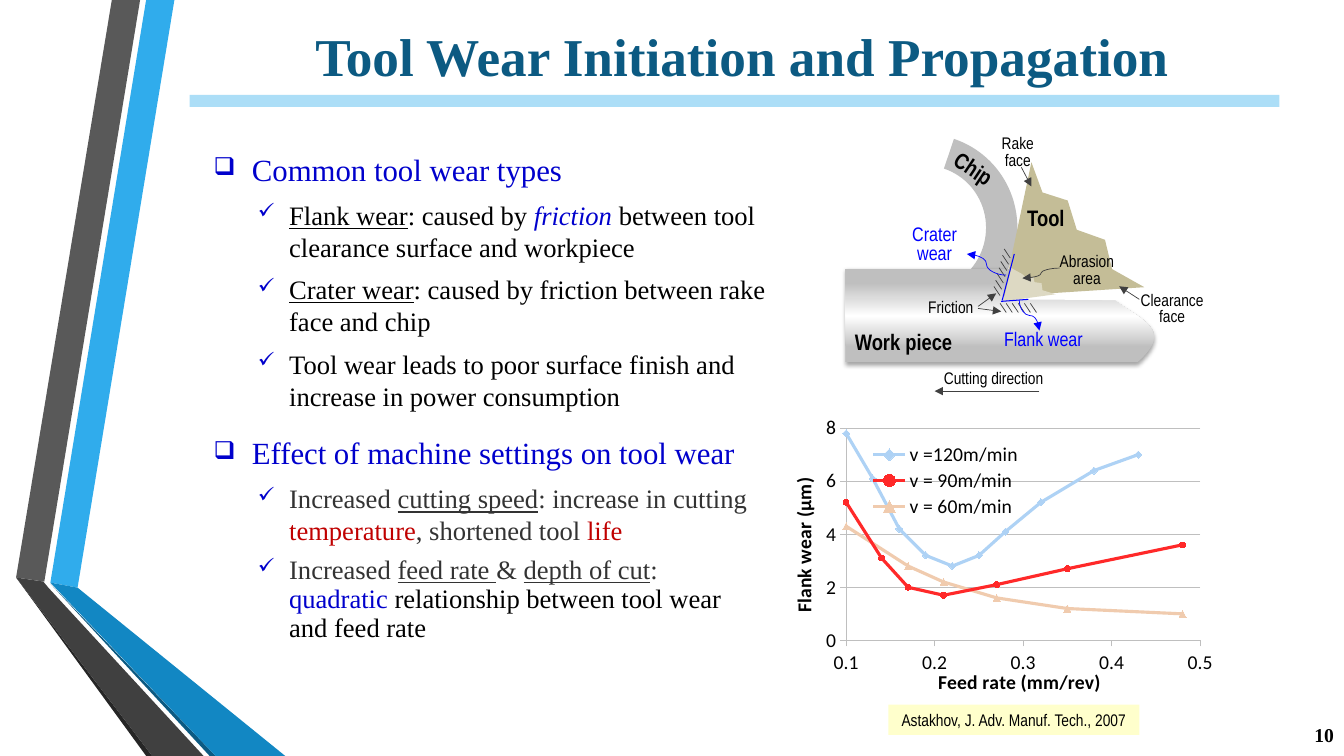
"""Build a slide on how tool wear starts and spreads."""
import copy

import pptx
import pptx.chart.data
import pptx.dml.color
import pptx.enum.chart
import pptx.enum.shapes
import pptx.enum.text
import pptx.oxml
import pptx.oxml.ns
import pptx.util


class Theme:
    ink, grey, dark, silver, white = "000000", "404040", "333333", "BFBFBF", "FFFFFF"
    navy, blue, royal, red = "0C5A82", "0000FF", "0000CC", "C00000"
    sky, pale, cream = "30ACEC", "ACDEF7", "FFFFCC"
    serif, narrow, sans = "Times New Roman", "Arial Narrow", "Calibri"
    title, head, body, name, mid, small = 38, 22, 19, 16, 14, 12


COLS, ROWS = 1333, 750
SHAPE = pptx.enum.shapes.MSO_SHAPE
LINK = pptx.enum.shapes.MSO_CONNECTOR
ALIGN = pptx.enum.text.PP_ALIGN
ANCHOR = pptx.enum.text.MSO_ANCHOR
MARK = pptx.enum.chart.XL_MARKER_STYLE

RIBBONS = [
    (Theme.sky, [(50, 578), (77, 583), (173, 0), (145, 0)]),
    ("595959", [(139, 0), (111, 0), (16, 573), (44, 577)]),
    ("262626", [(16, 573), (145, 750), (151, 750)]),
    (Theme.navy, [(50, 579), (208, 750), (214, 750)]),
    ("1287C3", [(50, 578), (214, 750), (283, 750), (77, 583)]),
    (Theme.grey, [(202, 750), (48, 583), (43, 577), (16, 573), (151, 750)]),
]
PARTS = [
    (Theme.white, [(1134, 266), (1011, 266), (996, 297), (1149, 298)]),
    ("C4BD97", [(995, 294), (1135, 285), (1103, 267), (1096, 238), (1068, 228),
                (1059, 199), (1034, 191), (1023, 161)]),
    ("DDD9C3", [(1003, 266), (995, 299), (1047, 292), (1034, 288), (1033, 281),
                (1026, 280), (1025, 275), (1018, 276), (1014, 272)]),
]
ARROWS = [
    (1031, 388, 927, 388), (1130, 297, 1110, 284), (1013, 166, 1023, 185),
    (970, 304, 988, 291), (970, 306, 993, 309),
]
EDGES = [(1006, 252, 994, 298), (1020, 297, 993, 299)]
CURVES = [
    ((1036, 303, 1006, 323), Theme.blue, 270),
    ((998, 273, 959, 252), Theme.blue, 0),
    ((1051, 266, 1014, 276), Theme.grey, 0),
]
HATCH = [(992 + 6 * i, 301, 998 + 6 * i, 310) for i in range(6)]
HATCH += [(1002 - 1.7 * i, 256 + 6.2 * i, 996 - 1.7 * i, 247 + 6.2 * i) for i in range(7)]
NAMES = [
    ("Tool", (1009, 198, 83, 46), 0),
    ("Work piece", (838, 321, 145, 46), 0),
    ("Chip", (934, 151, 69, 40), 33.8),
]
LABELS = [
    ("Abrasion area", (1047, 253, 62, 32), Theme.small, Theme.ink),
    ("Clearance face", (1122, 291, 81, 36), Theme.small, Theme.ink),
    ("Rake face", (988, 136, 43, 31), Theme.small, Theme.ink),
    ("Friction", (914, 298, 58, 22), Theme.small, Theme.ink),
    ("Cutting direction", (934, 369, 103, 23), Theme.small, Theme.ink),
    ("Flank wear", (993, 329, 84, 23), Theme.mid, Theme.blue),
    ("Crater wear", (889, 225, 76, 23), Theme.mid, Theme.blue),
]
NOTES = [
    ((202, 145, 576, 271), "Common tool wear types", 1, [
        (1, [("Flank wear", "u"), ": caused by ", ("friction ", "i", Theme.royal),
             "between tool clearance surface and workpiece"]),
        (1, [("Crater wear", "u"), ": caused by friction between rake face and chip"]),
        (1, ["Tool wear leads to poor surface finish and increase in power consumption"]),
    ]),
    ((202, 430, 564, 215), "Effect of machine settings on tool wear", 0.9, [
        (1, [("Increased ", Theme.dark), ("cutting speed", "u", Theme.dark),
             (": increase in cutting ", Theme.dark), ("temperature", Theme.red),
             (", shortened tool ", Theme.dark), ("life", Theme.red)]),
        (0.9, [("Increased ", Theme.dark), ("feed rate ", "u", Theme.dark), ("& ", Theme.dark),
               ("depth of cut", "u", Theme.dark), (": ", Theme.dark),
               ("quadratic ", Theme.royal), "relationship between tool wear and feed rate"]),
    ]),
]
SERIES = [
    ("v =120m/min", "AED2F5", MARK.DIAMOND, 5,
     [(0.1, 7.8), (0.13, 6.1), (0.16, 4.2), (0.19, 3.2), (0.22, 2.8), (0.25, 3.2),
      (0.28, 4.1), (0.32, 5.2), (0.38, 6.4), (0.43, 7)]),
    ("v = 90m/min", "FF2929", MARK.CIRCLE, 4,
     [(0.1, 5.2), (0.14, 3.1), (0.17, 2), (0.21, 1.7), (0.27, 2.1), (0.35, 2.7), (0.48, 3.6)]),
    ("v = 60m/min", "F0CBAE", MARK.TRIANGLE, 5,
     [(0.1, 4.3), (0.17, 2.8), (0.21, 2.2), (0.27, 1.6), (0.35, 1.2), (0.48, 1)]),
]

deck = pptx.Presentation()
deck.slide_width = pptx.util.Inches(13.33)
deck.slide_height = pptx.util.Inches(7.5)
CELL = deck.slide_width // COLS
shapes = deck.slides.add_slide(deck.slide_layouts[6]).shapes


def grid(box):
    return [round(n * CELL) for n in box]


def rgb(code):
    return pptx.dml.color.RGBColor.from_string(code)


def node(base, tag, **attrs):
    item = pptx.oxml.ns.qn(tag)
    part = base.makeelement(item, {key: str(val) for key, val in attrs.items()})
    base.append(part)
    return part


def paint(shape, fill):
    shape.shadow.inherit = False
    shape.line.fill.background()
    if fill:
        shape.fill.solid()
        shape.fill.fore_color.rgb = rgb(fill)
    return shape


def block(kind, box, fill=None, turn=0):
    shape = paint(shapes.add_shape(kind, *grid(box)), fill)
    shape.rotation = turn
    return shape


def outline(fill, points):
    pen = shapes.build_freeform(*points[0], scale=CELL)
    pen.add_line_segments(points[1:], close=True)
    paint(pen.convert_to_shape(), fill)


def link(ends, color=Theme.grey, width=0.5, kind=LINK.STRAIGHT, tip=False, turn=0):
    line = shapes.add_connector(kind, *grid(ends))
    node(line._element.spPr, "a:effectLst")
    line.line.color.rgb = rgb(color)
    line.line.width = pptx.util.Pt(width)
    if tip:
        node(line.line._get_or_add_ln(), "a:tailEnd", type="triangle")
    if turn:
        line._element.spPr.xfrm.set("rot", str(turn * 60000))


def frame(box, fill=None, pad=None, anchor=ANCHOR.TOP, turn=0):
    shape = block(SHAPE.RECTANGLE, box, fill) if fill else shapes.add_textbox(*grid(box))
    shape.rotation = turn
    area = shape.text_frame
    area.word_wrap, area.vertical_anchor = True, anchor
    if pad is not None:
        area.margin_left = area.margin_right = area.margin_top = area.margin_bottom = pad
    return area


def write(area, text, size=Theme.small, color=Theme.ink, face=Theme.narrow, bold=False,
          align=ALIGN.LEFT, gap=1, bullet=None, left=0, hang=0):
    first = not area.text
    para = area.paragraphs[0] if first else area.add_paragraph()
    para.alignment, para.line_spacing = align, gap
    if bullet:
        para.space_before = pptx.util.Pt(0 if first else 4.6)
        para.space_after = pptx.util.Pt(3)
        props = para._p.get_or_add_pPr()
        props.set("marL", str(left * CELL))
        props.set("indent", str(-hang * CELL))
        node(node(props, "a:buClr"), "a:srgbClr", val=Theme.royal)
        node(props, "a:buSzPct", val=80000)
        node(props, "a:buChar", char=bullet)
    for piece in [text] if isinstance(text, str) else text:
        words, *marks = (piece,) if isinstance(piece, str) else piece
        run = para.add_run()
        run.text, font = words, run.font
        font.size, font.name, font.bold = pptx.util.Pt(size), face, bold
        font.underline, font.italic = "u" in marks, "i" in marks
        font.color.rgb = rgb(next((m for m in marks if len(m) == 6), color))


def draw_work():
    arc = block(SHAPE.BLOCK_ARC, (824, 133, 185, 187), Theme.silver, 18.4)
    for i, val in enumerate((162.044, 17.697, 0.168)):
        arc.adjustments[i] = val
    work = block(SHAPE.FLOWCHART_DOCUMENT, (947, 158, 93, 310), turn=270)
    work.fill.gradient()
    work.fill.gradient_angle = 0
    stops = work._element.spPr.find(".//" + pptx.oxml.ns.qn("a:gsLst"))
    stops.append(copy.deepcopy(stops[0]))
    tones = ((0.16, Theme.silver), (0.49, Theme.white), (0.85, Theme.silver))
    for stop, (place, tone) in zip(work.fill.gradient_stops, tones):
        stop.position, stop.color.rgb = place, rgb(tone)
    shade = node(work._element.spPr.find(pptx.oxml.ns.qn("a:effectLst")), "a:outerShdw",
                 blurRad=pptx.util.Pt(3.1), dist=pptx.util.Pt(1.8), dir=5400000, rotWithShape=0)
    node(node(shade, "a:srgbClr", val=Theme.ink), "a:alpha", val=35000)


def place(base, index, inner, **sizes):
    for old in base.findall(pptx.oxml.ns.qn("c:layout")):
        base.remove(old)
    layout = node(base, "c:layout")
    base.insert(index, layout)
    plan = node(layout, "c:manualLayout")
    if inner:
        node(plan, "c:layoutTarget", val="inner")
    for key in ("xMode", "yMode"):
        node(plan, "c:" + key, val="edge")
    for key, val in sizes.items():
        node(plan, "c:" + key, val=val)


def draw_chart(box):
    data = pptx.chart.data.XyChartData()
    for name, *_, points in SERIES:
        row = data.add_series(name)
        for x, y in points:
            row.add_data_point(x, y)
    kind = pptx.enum.chart.XL_CHART_TYPE.XY_SCATTER_SMOOTH
    chart = shapes.add_chart(kind, *grid(box), data).chart
    chart.has_title, chart.has_legend = False, True
    chart.font.size, chart.font.name = pptx.util.Pt(Theme.mid), Theme.sans
    chart.font.color.rgb = rgb(Theme.ink)
    for row, (_, color, mark, size, _) in zip(chart.plots[0].series, SERIES):
        row.smooth = True
        row.format.line.color.rgb = rgb(color)
        row.format.line.width = pptx.util.Pt(2.25)
        row.marker.style, row.marker.size = mark, size
        row.marker.format.fill.solid()
        row.marker.format.fill.fore_color.rgb = rgb(color)
        row.marker.format.line.color.rgb = rgb(color)
    axes = ((chart.category_axis, "Feed rate (mm/rev)", 0.1, 0.5, 0.1, False),
            (chart.value_axis, "Flank wear (μm)", 0, 8, 2, True))
    for axis, name, low, high, step, lines in axes:
        axis.minimum_scale, axis.maximum_scale, axis.major_unit = low, high, step
        axis.has_major_gridlines = lines
        axis.major_tick_mark = pptx.enum.chart.XL_TICK_MARK.OUTSIDE
        axis.format.line.color.rgb = rgb(Theme.silver)
        axis.tick_labels.number_format = "General"
        axis.tick_labels.number_format_is_linked = False
        area = axis.axis_title.text_frame
        write(area, name, size=Theme.mid, face=Theme.sans, bold=True, align=ALIGN.CENTER)
        if lines:
            axis.major_gridlines.format.line.color.rgb = rgb(Theme.silver)
            area._txBody.bodyPr.set("rot", "-5400000")
            area._txBody.bodyPr.set("vert", "horz")
    chart.legend.include_in_layout = False
    place(chart._chartSpace.chart.plotArea, 0, True, x=0.135, y=0.065, w=0.8, h=0.729)
    place(chart.legend._element, 1, False, x=0.18, y=0.11, w=0.36, h=0.27)


def main():
    for fill, points in RIBBONS:
        outline(fill, points)
    block(SHAPE.RECTANGLE, (188, 94, 1081, 12), Theme.pale)
    write(frame((188, 21, 1096, 68), anchor=ANCHOR.MIDDLE),
          "Tool Wear Initiation and Propagation", size=Theme.title, color=Theme.navy,
          face=Theme.serif, bold=True, align=ALIGN.CENTER)
    write(frame((1273, 709, 60, 40), anchor=ANCHOR.MIDDLE), "10", size=Theme.mid,
          face=Theme.serif, bold=True, align=ALIGN.RIGHT)
    draw_chart((780, 406, 439, 289))
    draw_work()
    for fill, points in PARTS:
        outline(fill, points)
    for ends in ARROWS:
        link(ends, tip=True)
    for ends in EDGES:
        link(ends, Theme.blue, 0.75)
    for ends in HATCH:
        link(ends)
    for ends, color, turn in CURVES:
        link(ends, color, kind=LINK.CURVE, tip=True, turn=turn)
    for text, box, turn in NAMES:
        write(frame(box, turn=turn), text, size=Theme.name, bold=True)
    for text, box, size, color in LABELS:
        write(frame(box, pad=0), text, size=size, color=color, align=ALIGN.CENTER, gap=0.8)
    for box, head, gap, items in NOTES:
        area = frame(box)
        write(area, head, size=Theme.head, color=Theme.royal, face=Theme.serif, gap=gap,
              bullet="❑", left=38, hang=38)
        for space, runs in items:
            write(area, runs, size=Theme.body, face=Theme.serif, gap=space,
                  bullet="✓", left=75, hang=31)
    write(frame((881, 699, 249, 30), fill=Theme.cream, anchor=ANCHOR.MIDDLE),
          "Astakhov, J. Adv. Manuf. Tech., 2007", align=ALIGN.CENTER)
    deck.save("out.pptx")


if __name__ == "__main__":
    main()
